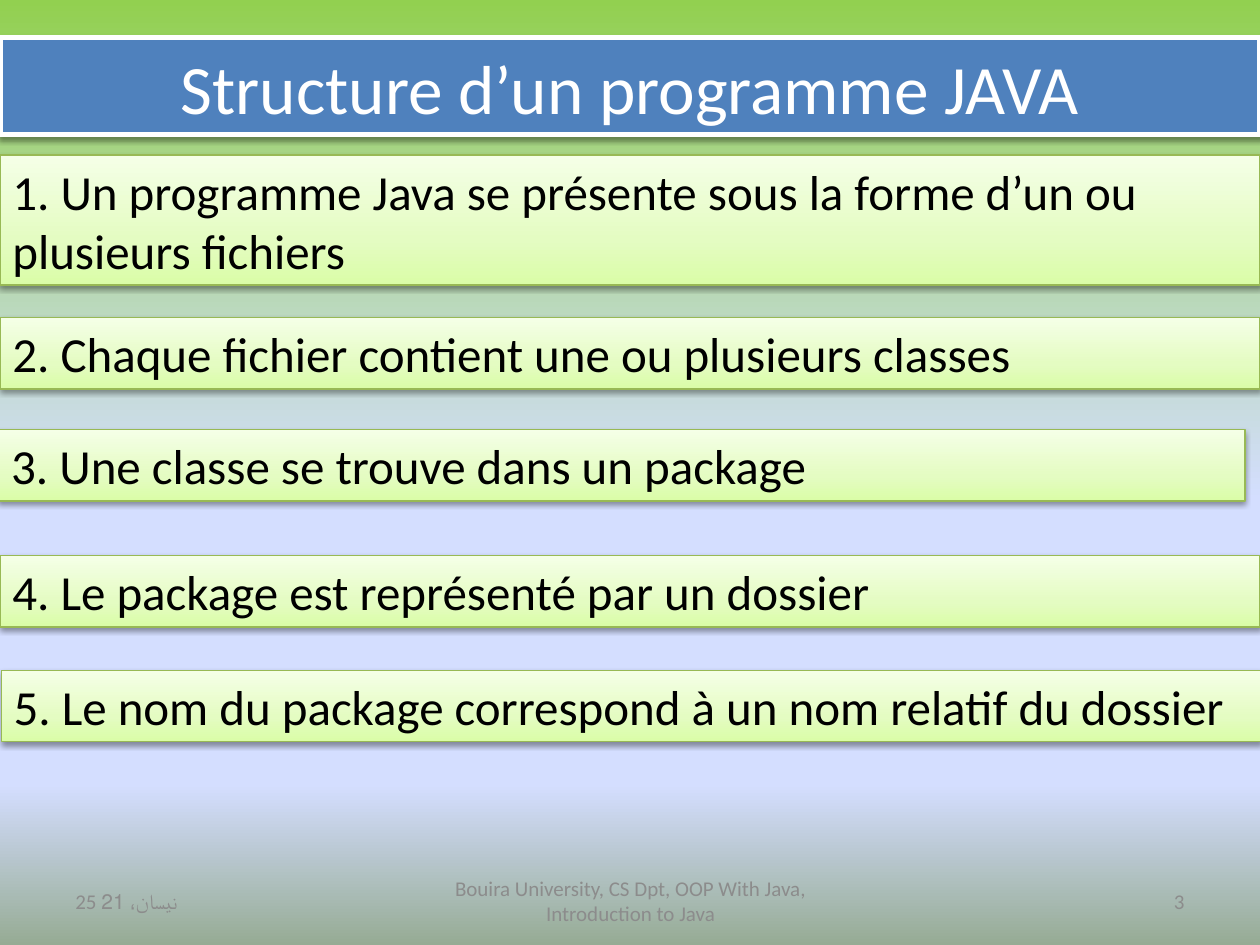
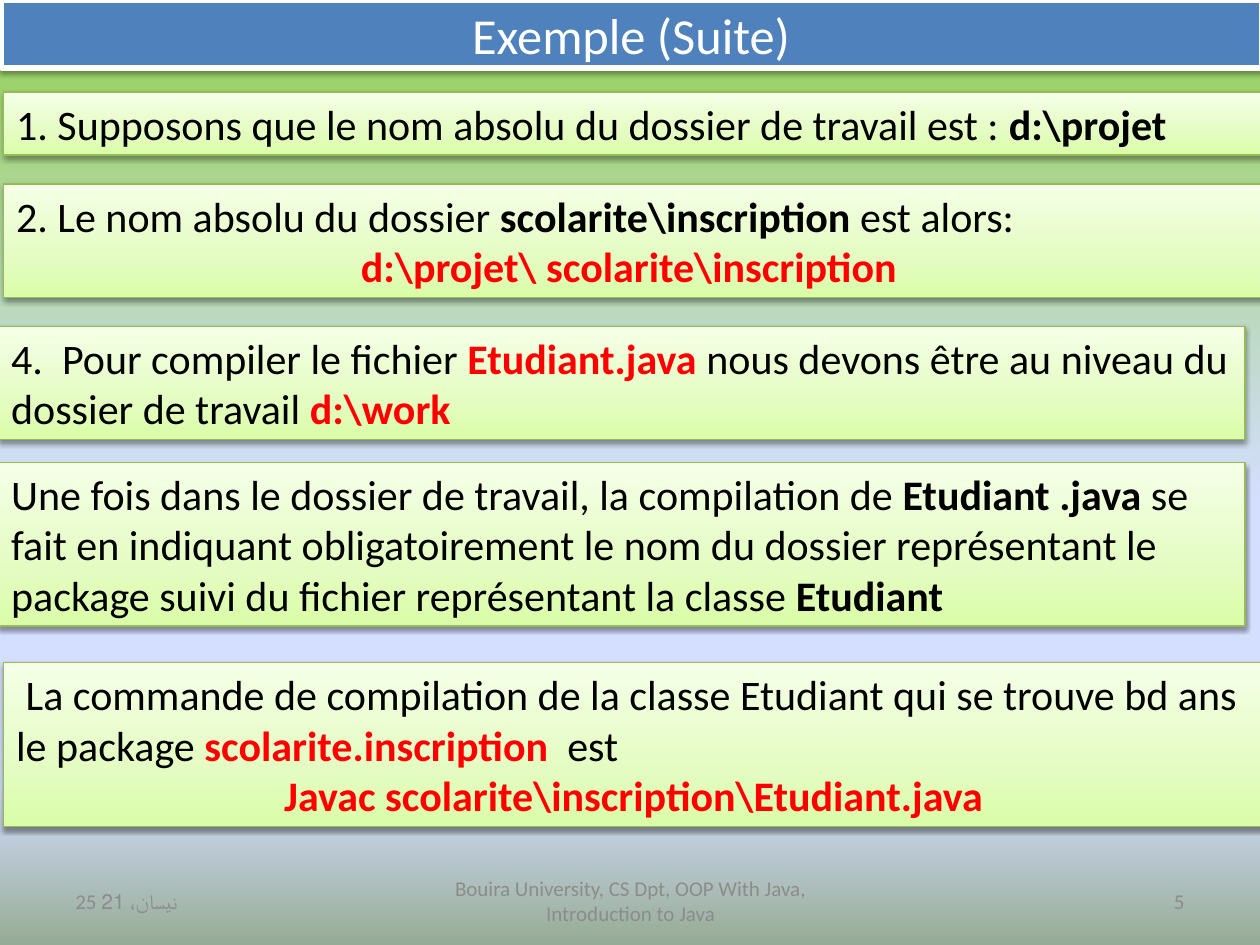
from pptx import Presentation
from pptx.dml.color import RGBColor
from pptx.enum.shapes import MSO_SHAPE
from pptx.enum.text import MSO_ANCHOR, MSO_AUTO_SIZE, PP_ALIGN
from pptx.oxml import parse_xml
from pptx.oxml.ns import nsdecls, qn
from pptx.util import Inches, Pt

RECT = MSO_SHAPE.RECTANGLE
LEFT, MID, RIGHT = PP_ALIGN.LEFT, PP_ALIGN.CENTER, PP_ALIGN.RIGHT
TOP, HALF = MSO_ANCHOR.TOP, MSO_ANCHOR.MIDDLE
FIXED, GROW = MSO_AUTO_SIZE.NONE, MSO_AUTO_SIZE.SHAPE_TO_FIT_TEXT

# Shared look
W, H = 10, 7.5
FONT = "Calibri"
BLACK, WHITE, RED, GREY = "000000", "FFFFFF", "FF0000", "8C8C8C"
BLUE, GREEN = "4F81BD", "98B955"
SKY = [(0, "92D050"), (53, "D4DEFF"), (83, "D4DEFF"), (100, "96AB94")]
LIME = [(0, "DAFDA7"), (35, "E4FCC2"), (100, "F5FFE7")]
PLAIN = {"bold": False, "color": BLACK}
BOLD = {"bold": True, "color": BLACK}
HOT = {"bold": True, "color": RED}

# Footer: left, width, alignment; the page number is added per slide
FOOT = [(0.5, 2.33, LEFT, "25 نيسان، 21"),
        (3.42, 3.17, MID,
         "Bouira University, CS Dpt, OOP With Java, Introduction to Java"),
        (7.17, 2.33, RIGHT, None)]

# Content: a box is left, top, width, line count, paragraphs;
# a paragraph is an alignment and its runs
SLIDES = [
    {"title": "Structure d’un programme JAVA", "page": "3",
     "head": (0, 0.3, W, 0.77), "big": 39.6, "size": 28,
     "boxes": [
         (0, 1.23, W, 2, [(LEFT, [
             ("1. Un programme Java se présente sous la forme d’un ou "
              "plusieurs fichiers", PLAIN)])]),
         (0, 2.52, W, 1, [(LEFT, [
             ("2. Chaque fichier contient une ou plusieurs classes", PLAIN)])]),
         (-0.01, 3.41, 9.89, 1, [(LEFT, [
             ("3. Une classe se trouve dans un package", PLAIN)])]),
         (0, 4.41, W, 1, [(LEFT, [
             ("4. Le package est représenté par un dossier", PLAIN)])]),
         (0.01, 5.32, W, 1, [(LEFT, [
             ("5. Le nom du package correspond à un nom relatif du dossier",
              PLAIN)])]),
     ]},
    {"title": "Exemple (Suite)", "page": "5",
     "head": (0.01, 0, W, 0.54), "big": 28.8, "size": 24,
     "boxes": [
         (0.03, 0.73, W, 1, [(LEFT, [
             ("1. Supposons que le nom absolu du dossier de travail est :",
              PLAIN),
             (" d:\\projet", BOLD)])]),
         (0.03, 1.46, W, 2, [
             (LEFT, [("2. Le nom absolu du dossier ", PLAIN),
                     ("scolarite\\inscription ", BOLD),
                     ("est alors: ", PLAIN)]),
             (MID, [("d:\\projet\\ scolarite\\inscription ", HOT)])]),
         (-0.01, 2.59, 9.89, 2, [(LEFT, [
             ("4.  Pour compiler le fichier ", PLAIN),
             ("Etudiant.java", HOT),
             (" nous devons être au niveau du dossier de travail ", PLAIN),
             ("d:\\work", HOT)])]),
         (-0.01, 3.67, 9.89, 3, [(LEFT, [
             ("Une fois dans le dossier de travail, la compilation de ", PLAIN),
             ("Etudiant .java ", BOLD),
             ("se fait en indiquant obligatoirement le nom du dossier "
              "représentant le package suivi du fichier représentant la "
              "classe ", PLAIN),
             ("Etudiant", BOLD)])]),
         (0.03, 5.26, W, 3, [
             (LEFT, [(" La commande de compilation de la classe Etudiant qui "
                      "se trouve bd ans le package ", PLAIN),
                     ("scolarite.inscription  ", HOT),
                     ("est ", PLAIN)]),
             (MID, [("Javac scolarite\\inscription\\Etudiant.java", HOT)])]),
     ]},
]


def rgb(code):
    return RGBColor.from_string(code)


def shade(fill, host, stops, angle):
    """Fill the host element with a linear gradient."""
    fill.solid()
    marks = "".join(f'<a:gs pos="{pos * 1000}"><a:srgbClr val="{code}"/></a:gs>'
                    for pos, code in stops)
    grad = parse_xml(f'<a:gradFill {nsdecls("a")} rotWithShape="1">'
                     f'<a:gsLst>{marks}</a:gsLst>'
                     f'<a:lin ang="{angle * 60000}" scaled="0"/></a:gradFill>')
    old = next(host.iter(qn("a:solidFill")))
    old.getparent().replace(old, grad)


def edge(shape, code, width):
    """Outline and soft shadow below."""
    shape.line.color.rgb = rgb(code)
    shape.line.width = Pt(width)
    shape.shadow.inherit = False
    shape._element.spPr.find(qn("a:effectLst")).append(parse_xml(
        f'<a:outerShdw {nsdecls("a")} blurRad="{Pt(3.1)}" dist="{Pt(1.6)}" '
        'dir="5400000" rotWithShape="0"><a:srgbClr val="000000">'
        '<a:alpha val="38000"/></a:srgbClr></a:outerShdw>'))


def write(shape, paras, size, anchor, fit):
    frame = shape.text_frame
    form = {"word_wrap": True, "auto_size": fit, "vertical_anchor": anchor}
    for key, val in form.items():
        setattr(frame, key, val)
    for i, (align, runs) in enumerate(paras):
        para = frame.add_paragraph() if i else frame.paragraphs[0]
        para.alignment = align
        for text, style in runs:
            run = para.add_run()
            run.text = text
            run.font.color.rgb = rgb(style["color"])
            form = {"name": FONT, "size": Pt(size), "bold": style["bold"]}
            for key, val in form.items():
                setattr(run.font, key, val)


def area(*sides):
    return [Inches(side) for side in sides]


prs = Presentation()
prs.slide_width, prs.slide_height = area(W, H)
back = prs.slide_master.background
shade(back.fill, prs.slide_master._element.cSld.bg, SKY, 90)

for page in SLIDES:
    slide = prs.slides.add_slide(prs.slide_layouts[5])

    # Title band
    head = slide.shapes.title
    head.left, head.top, head.width, head.height = area(*page["head"])
    head.fill.solid()
    head.fill.fore_color.rgb = rgb(BLUE)
    edge(head, WHITE, 3)
    white = {"bold": False, "color": WHITE}
    write(head, [(MID, [(page["title"], white)])], page["big"], HALF, FIXED)

    # Text boxes, as tall as their lines
    for left, top, width, lines, paras in page["boxes"]:
        tall = 0.1 + lines * page["size"] * 1.2 / 72
        box = slide.shapes.add_shape(RECT, *area(left, top, width, tall))
        shade(box.fill, box._element.spPr, LIME, 270)
        edge(box, GREEN, 0.75)
        write(box, paras, page["size"], TOP, GROW)

    # Footer
    grey = {"bold": False, "color": GREY}
    for left, width, align, text in FOOT:
        box = slide.shapes.add_textbox(*area(left, 6.95, width, 0.4))
        write(box, [(align, [(text or page["page"], grey)])], 12, HALF, FIXED)

prs.save("out.pptx")
